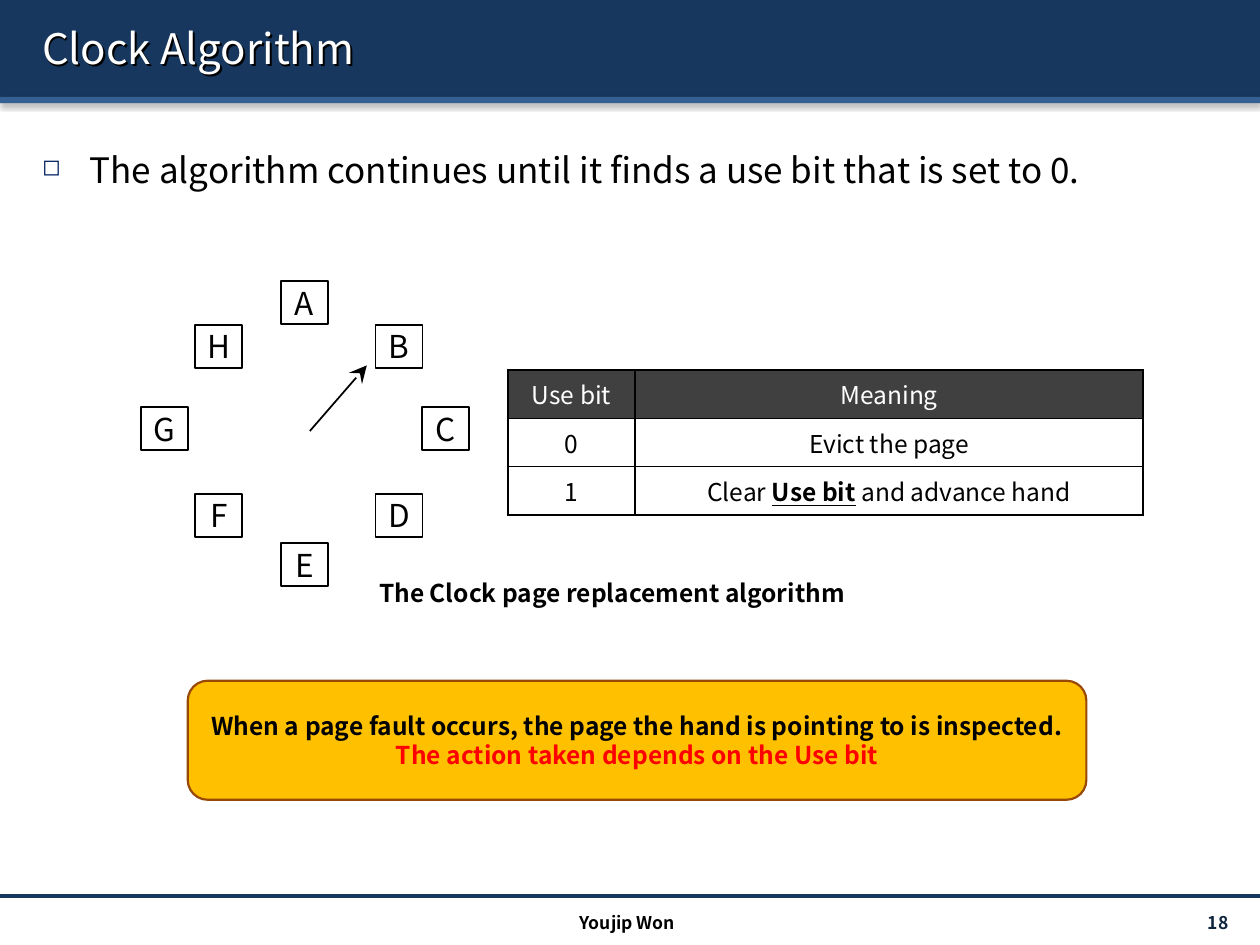
from collections import namedtuple
from dataclasses import dataclass

from lxml.etree import SubElement
from pptx import Presentation
from pptx.dml.color import RGBColor as RGB
from pptx.enum.shapes import MSO_CONNECTOR as Connector, MSO_SHAPE as Shape
from pptx.enum.text import MSO_ANCHOR as Anchor, PP_ALIGN as Align
from pptx.oxml import parse_xml
from pptx.oxml.ns import nsdecls, qn
from pptx.util import Pt

Box = namedtuple("Box", "left top width height")


@dataclass(frozen=True)
class Theme:
    font: str = "Noto Sans CJK KR"
    navy: str = "17375E"
    blue: str = "376092"
    bullet: str = "002060"
    number: str = "0F243E"
    header: str = "404040"
    amber: str = "FFC000"
    brown: str = "984807"
    red: str = "FF0000"
    black: str = "000000"
    white: str = "FFFFFF"
    title: int = 24
    body: int = 20
    label: int = 18
    note: int = 14
    small: int = 10


THEME = Theme()


def apply(target, values):
    for name, value in values.items():
        setattr(target, name, value)


def pts(*lengths):
    return [Pt(length) for length in lengths]


def add_shadow(shape, blur, distance, angle, alpha):
    shape.shadow.inherit = False
    effects = shape._element.spPr.find(qn("a:effectLst"))
    effects.append(parse_xml(
        f'<a:outerShdw {nsdecls("a")} blurRad="{Pt(blur)}" dist="{Pt(distance)}" '
        f'dir="{angle * 60000}" algn="t" rotWithShape="0"><a:srgbClr val="{THEME.black}">'
        f'<a:alpha val="{alpha * 1000}"/></a:srgbClr></a:outerShdw>'))


def write(frame, runs, size, align=Align.LEFT, anchor=Anchor.MIDDLE, spacing=None):
    """Fill a text frame with one paragraph of (text, colour, font values) runs."""
    apply(frame, dict(word_wrap=True, vertical_anchor=anchor))
    paragraph = frame.paragraphs[0]
    apply(paragraph, dict(alignment=align, line_spacing=spacing))
    for text, color, style in runs:
        run = paragraph.add_run()
        run.text = text
        apply(run.font, dict(name=THEME.font, size=Pt(size), bold=False) | style)
        run.font.color.rgb = RGB.from_string(color)


def add_text(slide, box, runs, size, **layout):
    text_box = slide.shapes.add_textbox(*pts(*box))
    write(text_box.text_frame, runs, size, **layout)
    return text_box


def add_block(slide, kind, box, fill, line=None, weight=1):
    block = slide.shapes.add_shape(kind, *pts(*box))
    block.shadow.inherit = False
    block.fill.solid()
    block.fill.fore_color.rgb = RGB.from_string(fill)
    if line:
        block.line.color.rgb = RGB.from_string(line)
        block.line.width = Pt(weight)
    else:
        block.line.fill.background()
    return block


def add_line(slide, start, end, color, weight):
    line = slide.shapes.add_connector(Connector.STRAIGHT, *pts(*start, *end))
    line.line.color.rgb = RGB.from_string(color)
    line.line.width = Pt(weight)
    SubElement(line._element.spPr, qn("a:effectLst"))
    return line


def add_header(slide, box, title):
    # Dark band with a thin strip below it
    strip = 3.6
    band = box.height - strip
    bars = ((box.top, band, THEME.navy), (box.top + band, strip, THEME.blue))
    for top, height, color in bars:
        bar = add_block(slide, Shape.RECTANGLE, (box.left, top, box.width, height), color)
        add_shadow(bar, 3.1, 1.6, 90, 38)
    # Title with a shadow behind its letters
    title_box = (box.left + 17, box.top + 4.3, box.width - 28, 46)
    heading = add_text(slide, title_box, [(title, THEME.white, {})], THEME.title)
    add_shadow(heading, 0, 1.5, 45, 100)


def add_bullet(slide, box, text):
    bullet = add_text(slide, box, [(text, THEME.black, {})], THEME.body,
                      anchor=Anchor.TOP, spacing=1.5)
    pPr = bullet.text_frame.paragraphs[0]._p.get_or_add_pPr()
    indent = Pt(27.2)
    for name, value in dict(marL=indent, indent=-indent).items():
        pPr.set(name, str(value))
    color = SubElement(pPr, qn("a:buClr"))
    SubElement(color, qn("a:srgbClr"), val=THEME.bullet)
    SubElement(pPr, qn("a:buSzPct"), val="65000")
    SubElement(pPr, qn("a:buChar"), char="◻")


def add_clock(slide, box):
    # Pages round the dial: columns and rows run from the box edges inward
    page_width, page_height = 26.8, 24.6
    columns = [box.left + x for x in (0, 31, 80, 134, box.width - page_width)]
    rows = [box.top + y for y in (0, 25, 72, 121.5, box.height - page_height)]
    places = dict(A=(2, 0), B=(3, 1), C=(4, 2), D=(3, 3),
                  E=(2, 4), F=(1, 3), G=(0, 2), H=(1, 1))
    for page, (column, row) in places.items():
        page_box = (columns[column], rows[row], page_width, page_height)
        square = add_block(slide, Shape.RECTANGLE, page_box, THEME.white, THEME.black)
        frame = square.text_frame
        apply(frame, dict.fromkeys(
            ("margin_left", "margin_right", "margin_top", "margin_bottom"), 0))
        write(frame, [(page, THEME.black, {})], THEME.label, align=Align.CENTER)
    # Hand, pointing to page B
    hand = add_line(slide, (box.left + 96.5, box.top + 85.7),
                    (box.left + 129, box.top + 48.2), THEME.black, 1)
    SubElement(hand.line._get_or_add_ln(), qn("a:tailEnd"), type="stealth", w="lg", len="lg")


def add_borders(cell):
    tcPr = cell._tc.get_or_add_tcPr()
    for position, side in enumerate(("lnL", "lnR", "lnT", "lnB")):
        tcPr.insert(position, parse_xml(
            f'<a:{side} {nsdecls("a")} w="{Pt(1)}"><a:solidFill>'
            f'<a:srgbClr val="{THEME.black}"/></a:solidFill></a:{side}>'))


def add_use_bit_table(slide, box):
    meanings = [
        [["Use bit"], ["Meaning"]],
        [["0"], ["Evict the page"]],
        [["1"], ["Clear ", "Use bit", " and advance hand"]],
    ]
    table = slide.shapes.add_table(len(meanings), 2, *pts(*box)).table
    apply(table, dict(first_row=False, horz_banding=False))
    first_width = box.width / 5
    for column, width in zip(table.columns, (first_width, box.width - first_width)):
        column.width = Pt(width)
    for r, row in enumerate(meanings):
        fill, color = (THEME.white, THEME.black) if r else (THEME.header, THEME.white)
        for c, parts in enumerate(row):
            cell = table.cell(r, c)
            cell.fill.solid()
            cell.fill.fore_color.rgb = RGB.from_string(fill)
            cell.vertical_anchor = Anchor.MIDDLE
            # The middle part of a split sentence is the emphasised term
            runs = [(part, color, dict(bold=True, underline=True) if i == 1 else {})
                    for i, part in enumerate(parts)]
            write(cell.text_frame, runs, THEME.note, align=Align.CENTER)
            add_borders(cell)


def add_callout(slide, box, statement, emphasis):
    callout = add_block(slide, Shape.ROUNDED_RECTANGLE, box, THEME.amber, THEME.brown, 1.25)
    apply(callout.text_frame, dict(margin_left=Pt(8.6), margin_right=Pt(8.6)))
    bold = dict(bold=True)
    write(callout.text_frame,
          [(statement + " ", THEME.black, bold), (emphasis, THEME.red, bold)],
          THEME.note, align=Align.CENTER)


def add_footer(slide, box, author, number):
    add_line(slide, (box.left, box.top), (box.left + box.width, box.top), THEME.navy, 2)
    top, height = box.top + 6.5, 17.3
    bold = dict(bold=True)
    add_text(slide, (box.left + 239, top, 239, height), [(author, THEME.black, bold)],
             THEME.small, align=Align.CENTER)
    add_text(slide, (box.left + 627, top, 82, height), [(number, THEME.number, bold)],
             THEME.small, align=Align.RIGHT)


def main():
    deck = Presentation()
    apply(deck, dict(slide_width=Pt(720), slide_height=Pt(540)))
    slide = deck.slides.add_slide(deck.slide_layouts[6])

    add_header(slide, Box(0, 0, 720, 59), "Clock Algorithm")
    add_bullet(slide, Box(17, 69.1, 692, 433),
               "The algorithm continues until it finds a use bit that is set to 0.")
    add_clock(slide, Box(80.6, 160.6, 187.4, 174.4))
    add_use_bit_table(slide, Box(290.3, 211.5, 363, 82.8))
    add_text(slide, Box(209.5, 326.5, 289.5, 24.5),
             [("The Clock page replacement algorithm", THEME.black, dict(bold=True))], THEME.note)
    add_callout(slide, Box(107.3, 389, 513.5, 68),
                "When a page fault occurs, the page the hand is pointing to is inspected.",
                "The action taken depends on the Use bit")
    add_footer(slide, Box(0, 512, 720, 28), "Youjip Won", "18")
    deck.save("out.pptx")


if __name__ == "__main__":
    main()
